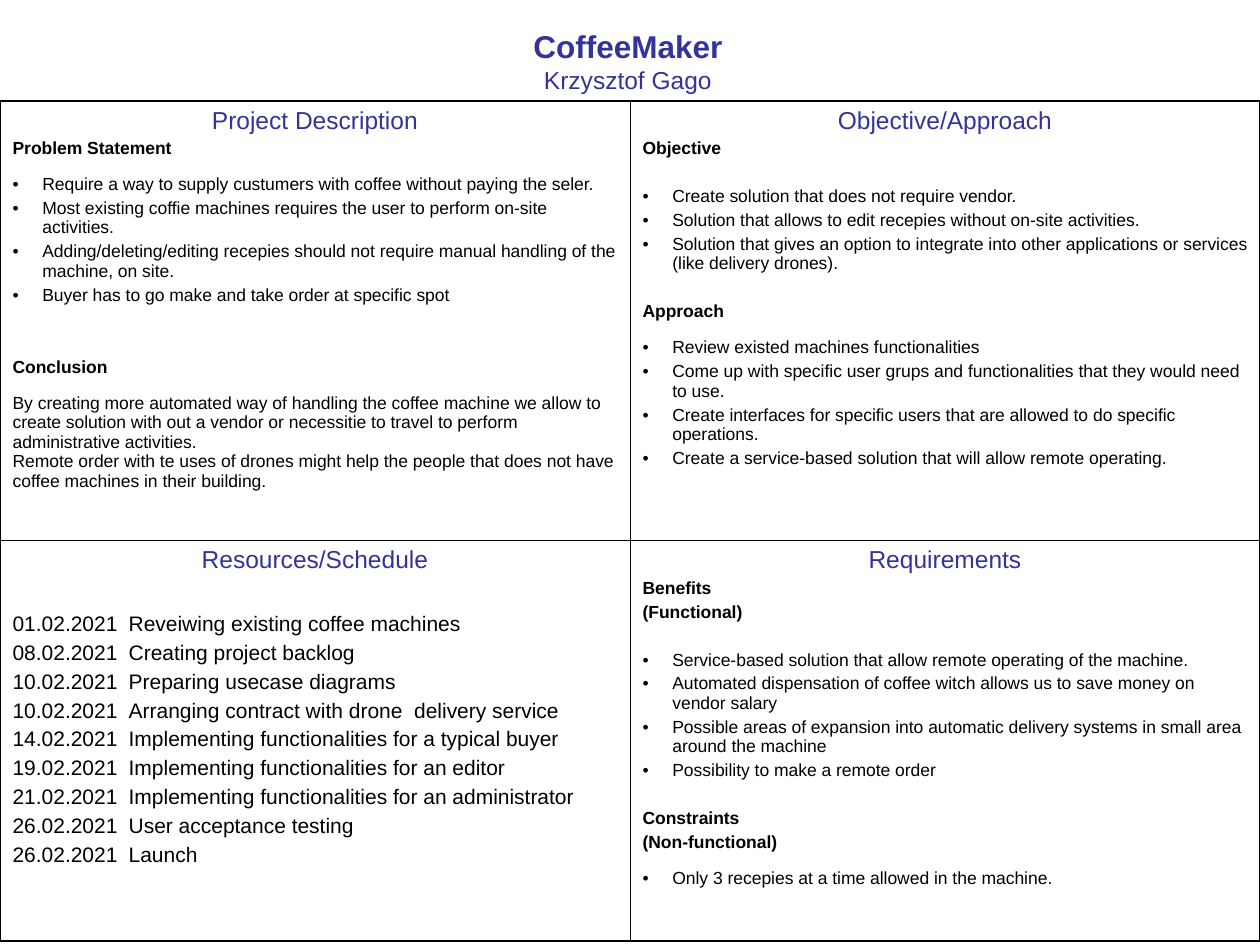
from lxml.etree import SubElement as Sub, Element as Elem
from pptx import Presentation
from pptx.dml.color import RGBColor as RGB
from pptx.enum.text import PP_ALIGN as Align, MSO_AUTO_SIZE as Auto
from pptx.oxml.ns import qn
from pptx.util import Cm, Pt

HUE = {"head": "333399", "ink": "000000", "back": "FFFFFF"}
THICK, THIN = 1.08, 0.45
SMALL, LARGE = 9.3, 16.2

PLAN = [
    [("Project Description", [
        ("head", 2.5, ["Problem Statement"]),
        ("list", SMALL, [
            "Require a way to supply custumers with coffee without paying the seler.",
            "Most existing coffie machines requires the user to perform on-site activities.",
            "Adding/deleting/editing recepies should not require manual handling of the machine, on site.",
            "Buyer has to go make and take order at specific spot"]),
        ("head", 29.9, ["Conclusion"]),
        ("body", SMALL, [
            "By creating more automated way of handling the coffee machine we allow to create solution "
            "with out a vendor or necessitie to travel to perform administrative activities.",
            "Remote order with te uses of drones might help the people that does not have coffee "
            "machines in their building."])]),
     ("Objective/Approach", [
        ("head", 2.5, ["Objective"]),
        ("list", LARGE, [
            "Create solution that does not require vendor.",
            "Solution that allows to edit recepies without on-site activities.",
            "Solution that gives an option to integrate into other applications or services "
            "(like delivery drones)."]),
        ("head", LARGE, ["Approach"]),
        ("list", SMALL, [
            "Review existed machines functionalities",
            "Come up with specific user grups and functionalities that they would need to use.",
            "Create interfaces for specific users that are allowed to do specific operations.",
            "Create a service-based solution that will allow remote operating."])])],
    [("Resources/Schedule", [
        ("date", 22.1, [
            "01.02.2021\tReveiwing existing coffee machines",
            "08.02.2021\tCreating project backlog",
            "10.02.2021\tPreparing usecase diagrams",
            "10.02.2021\tArranging contract with drone  delivery service",
            "14.02.2021\tImplementing functionalities for a typical buyer",
            "19.02.2021\tImplementing functionalities for an editor",
            "21.02.2021\tImplementing functionalities for an administrator",
            "26.02.2021\tUser acceptance testing",
            "26.02.2021\tLaunch"])]),
     ("Requirements", [
        ("head", 2.5, ["Benefits", "(Functional)"]),
        ("list", LARGE, [
            "Service-based solution that allow remote operating of the machine.",
            "Automated dispensation of coffee witch allows us to save money on vendor salary",
            "Possible areas of expansion into automatic delivery systems in small area around the machine",
            "Possibility to make a remote order"]),
        ("head", LARGE, ["Constraints", "(Non-functional)"]),
        ("list", SMALL, ["Only 3 recepies at a time allowed in the machine."])])],
]

STYLE = {
    "head": {"bold": True, "gap": 2.5},
    "list": {"bullet": True, "gap": 2.5},
    "body": {"gap": 0},
    "date": {"size": 12, "gap": 3, "tab": 2.34},
}


def write(frame, text, size=10, color="ink", bold=False, align=Align.LEFT,
          gap=0, bullet=False, tab=None):
    """Add one formatted paragraph to a text frame."""
    para = frame.paragraphs[0]
    if para.runs:
        para = frame.add_paragraph()
    para.alignment, para.space_before = align, Pt(gap)
    run = para.add_run()
    run.text = text
    font = run.font
    font.name, font.size, font.bold = "Arial", Pt(size), bold
    font.color.rgb = RGB.from_string(HUE[color])
    props = para._p.get_or_add_pPr()
    if bullet:
        props.set("marL", str(Cm(0.6)))
        props.set("indent", str(-Cm(0.6)))
        Sub(props, qn("a:buFont"), typeface="Arial")
        Sub(props, qn("a:buChar"), char="•")
    if tab:
        tabs = Sub(props, qn("a:tabLst"))
        Sub(tabs, qn("a:tab"), pos=str(Cm(tab)), algn="l")


def edge(cell, sides):
    """Draw the borders of a cell from widths in left, right, top, bottom order."""
    props = cell._tc.get_or_add_tcPr()
    for i, (side, width) in enumerate(zip("LRTB", sides)):
        line = Elem(qn(f"a:ln{side}"), w=str(Pt(width)))
        fill = Sub(line, qn("a:solidFill"))
        Sub(fill, qn("a:srgbClr"), val=HUE["ink"])
        props.insert(i, line)


def title(slide, left, top, width, height):
    """Place the project name and its author."""
    box = slide.shapes.add_textbox(Cm(left), Cm(top), Cm(width), Cm(height))
    frame = box.text_frame
    frame.word_wrap = True
    frame.auto_size = Auto.SHAPE_TO_FIT_TEXT
    write(frame, "CoffeeMaker", size=18, color="head", bold=True, align=Align.CENTER)
    write(frame, "Krzysztof Gago", size=14, color="head", align=Align.CENTER)


def panel(cell, name, parts):
    """Fill one quadrant with its heading and parts."""
    cell.fill.solid()
    cell.fill.fore_color.rgb = RGB.from_string(HUE["back"])
    frame = cell.text_frame
    write(frame, name, size=14, color="head", align=Align.CENTER, gap=3.5)
    for kind, lead, lines in parts:
        for i, text in enumerate(lines):
            form = dict(STYLE[kind])
            if i == 0:
                form["gap"] = lead
            write(frame, text, **form)


def quad(slide, left, top, width, rows):
    """Place the two by two table of panels."""
    table = slide.shapes.add_table(
        2, 2, Cm(left), Cm(top), Cm(width), Cm(sum(rows))).table
    table.first_row = table.horz_banding = False
    for col in table.columns:
        col.width = Cm(width / 2)
    for r, height in enumerate(rows):
        table.rows[r].height = Cm(height)
        for c, (name, parts) in enumerate(PLAN[r]):
            cell = table.cell(r, c)
            panel(cell, name, parts)
            across = (THIN, THICK) if c else (THICK, THIN)
            down = (THIN, THICK) if r else (THICK, THIN)
            edge(cell, across + down)


def main():
    """Build and save the slide."""
    deck = Presentation()
    deck.slide_width, deck.slide_height = Cm(25.4), Cm(19.05)
    slide = deck.slides.add_slide(deck.slide_layouts[6])
    title(slide, 2.08, 0.43, 21.16, 1.63)
    quad(slide, 0, 2.03, 25.4, (8.86, 8.08))
    deck.save("out.pptx")


if __name__ == "__main__":
    main()
